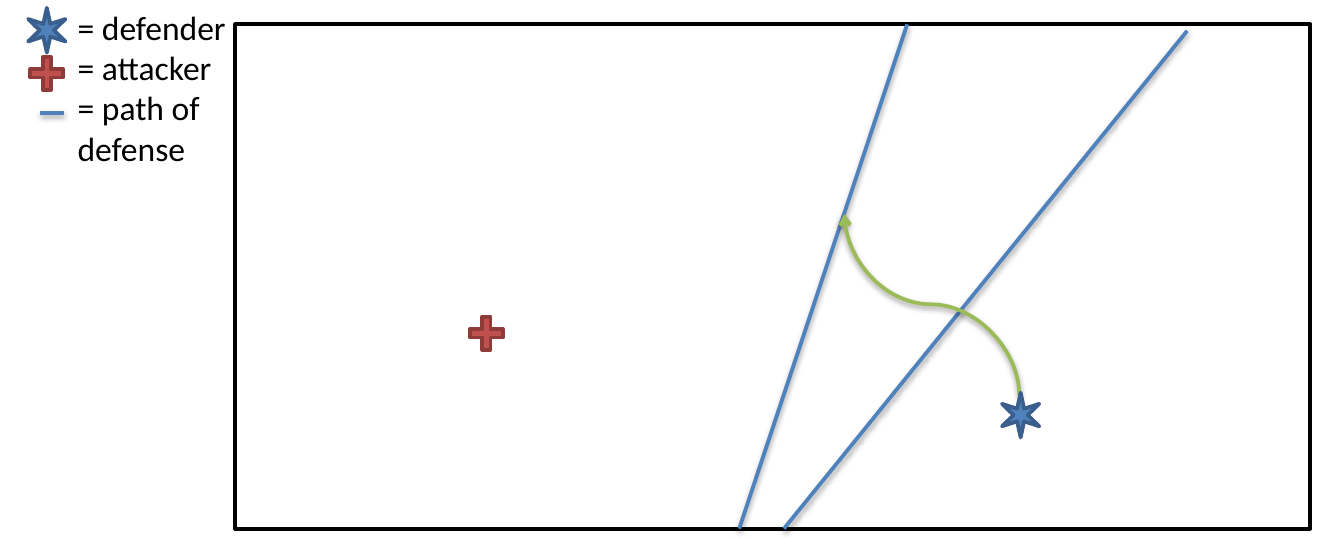
from dataclasses import dataclass

from lxml.etree import SubElement
from pptx import Presentation
from pptx.dml.color import RGBColor
from pptx.enum.shapes import MSO_CONNECTOR, MSO_SHAPE
from pptx.enum.text import MSO_ANCHOR, PP_ALIGN
from pptx.oxml.ns import qn
from pptx.util import Pt

COLORS = {
    "black": "000000", "white": "FFFFFF",
    "path": "4F81BD", "run": "9BBB59",
    "defender": "4F81BD", "defender_edge": "3A5F8C",
    "attacker": "C0504D", "attacker_edge": "8E3B39",
}
LINE_WIDTH = 2


@dataclass(frozen=True)
class Player:
    preset: MSO_SHAPE
    role: str
    width: float
    height: float
    adjust: float


@dataclass(frozen=True)
class Path:
    x1: float
    y1: float
    x2: float
    y2: float


DEFENDER = Player(MSO_SHAPE.STAR_6_POINT, "defender", 20, 24, 0.164)
ATTACKER = Player(MSO_SHAPE.MATH_PLUS, "attacker", 24, 24, 0.186)
FIELD = (126, 13, 576, 270)
DEFENSE_PATHS = [
    Path(420, 283, 636, 16.5),
    Path(486, 13, 396, 283),
    Path(34.5, 60.5, 21.6, 60.5),  # legend sample
]
DEFENDER_RUN = Path(546, 211.5, 452.3, 114.5)
PLAYERS = [  # player, left, top
    (ATTACKER, 248.5, 166.4),
    (DEFENDER, 536.8, 210.2),
    (ATTACKER, 13.1, 27.2),
    (DEFENDER, 15.1, 4.2),
]
LEGEND = ["= defender", "= attacker", "= path of defense"]


def rgb(name: str) -> RGBColor:
    return RGBColor.from_string(COLORS[name])


def add_box(s, preset: MSO_SHAPE, box: tuple, fill: str, edge: str):
    sp = s.shapes.add_shape(preset, *(Pt(v) for v in box))
    sp.shadow.inherit = False
    sp.fill.solid()
    sp.fill.fore_color.rgb = rgb(fill)
    sp.line.color.rgb = rgb(edge)
    sp.line.width = Pt(LINE_WIDTH)
    return sp


def add_player(s, player: Player, left: float, top: float) -> None:
    sp = add_box(s, player.preset, (left, top, player.width, player.height),
                 player.role, player.role + "_edge")
    sp.adjustments[0] = player.adjust


def add_path(s, path: Path, color: str, kind=MSO_CONNECTOR.STRAIGHT):
    c = s.shapes.add_connector(
        kind, Pt(path.x1), Pt(path.y1), Pt(path.x2), Pt(path.y2))
    c.line.color.rgb = rgb(color)
    c.line.width = Pt(LINE_WIDTH)
    # Soft shadow straight below the line
    effects = SubElement(c._element.spPr, qn("a:effectLst"))
    shadow = SubElement(effects, qn("a:outerShdw"), blurRad="40000",
                        dist="20000", dir="5400000", rotWithShape="0")
    tint = SubElement(shadow, qn("a:srgbClr"), val=COLORS["black"])
    SubElement(tint, qn("a:alpha"), val="38000")
    return c


def add_run(s, path: Path, color: str) -> None:
    """Curved arrow that leaves and arrives vertically, going up and left."""
    cx, cy = (path.x1 + path.x2) / 2, (path.y1 + path.y2) / 2
    half_w, half_h = (path.y1 - path.y2) / 2, (path.x1 - path.x2) / 2
    # Upright ends need the curve laid out sideways, then turned
    sideways = Path(cx - half_w, cy + half_h, cx + half_w, cy - half_h)
    c = add_path(s, sideways, color, MSO_CONNECTOR.CURVE)
    c._element.spPr.find(qn("a:xfrm")).set("rot", str(270 * 60000))
    SubElement(c.line._get_or_add_ln(), qn("a:tailEnd"), type="arrow")


def add_text(s, lines: list[str], box: tuple, *, size: float, color: str,
             font: str = "Calibri") -> None:
    tf = s.shapes.add_textbox(*(Pt(v) for v in box)).text_frame
    tf.word_wrap = True
    tf.vertical_anchor = MSO_ANCHOR.TOP
    for i, line in enumerate(lines):
        p = tf.paragraphs[0] if i == 0 else tf.add_paragraph()
        p.alignment = PP_ALIGN.LEFT
        r = p.add_run()
        r.text = line
        r.font.size = Pt(size)
        r.font.name = font
        r.font.color.rgb = rgb(color)


def main() -> None:
    prs = Presentation()
    prs.slide_width, prs.slide_height = Pt(720), Pt(288)
    s = prs.slides.add_slide(prs.slide_layouts[6])

    # Field and legend
    add_box(s, MSO_SHAPE.RECTANGLE, FIELD, "white", "black")
    add_text(s, LEGEND, (34.5, 0, 119, 94.5), size=18, color="black")

    # Paths of defense and the defender's run
    for path in DEFENSE_PATHS:
        add_path(s, path, "path")
    add_run(s, DEFENDER_RUN, "run")

    # Players on the field and in the legend
    for player, left, top in PLAYERS:
        add_player(s, player, left, top)

    prs.save("out.pptx")


if __name__ == "__main__":
    main()
